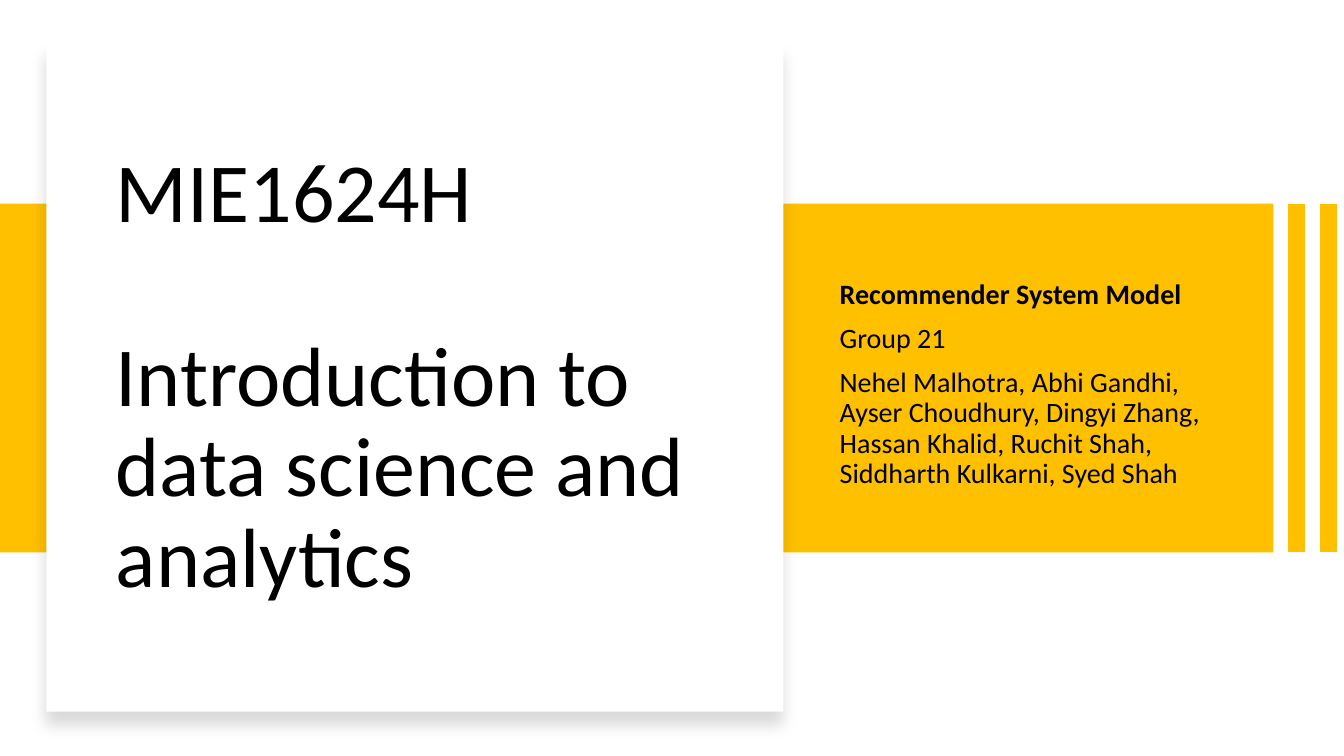
from dataclasses import dataclass

from lxml.etree import SubElement
from pptx import Presentation
from pptx.dml.color import RGBColor
from pptx.enum.shapes import MSO_CONNECTOR, MSO_SHAPE
from pptx.enum.text import MSO_ANCHOR
from pptx.oxml.ns import qn
from pptx.shapes.autoshape import Shape
from pptx.slide import Slide
from pptx.util import Inches, Pt

AMBER = RGBColor(0xFF, 0xC0, 0x00)
WHITE = RGBColor(0xFF, 0xFF, 0xFF)
BLACK = RGBColor(0x00, 0x00, 0x00)
FONT = "Calibri"
BAND_TOP, BAND_HEIGHT = 2.02, 3.46
STRIPE_POSITIONS = (12.86, 13.18)


@dataclass(frozen=True)
class Box:
    left: float
    top: float
    width: float
    height: float

    def lengths(self) -> tuple[Inches, Inches, Inches, Inches]:
        return (Inches(self.left), Inches(self.top),
                Inches(self.width), Inches(self.height))


@dataclass(frozen=True)
class Line:
    text: str
    size: float
    space_before: float = 0
    bold: bool = False


TITLE = (
    Line("MIE1624H", 60),
    Line("Introduction to data science and analytics", 60, space_before=66),
)
SUBTITLE = (
    Line("Recommender System Model", 20, 10, bold=True),
    Line("Group 21", 20, 10),
    Line("Nehel Malhotra, Abhi Gandhi, Ayser Choudhury, Dingyi Zhang, "
         "Hassan Khalid, Ruchit Shah, Siddharth Kulkarni, Syed Shah", 20, 10),
)


def add_panel(slide: Slide, box: Box, color: RGBColor) -> Shape:
    panel = slide.shapes.add_shape(MSO_SHAPE.RECTANGLE, *box.lengths())
    panel.shadow.inherit = False
    panel.fill.solid()
    panel.fill.fore_color.rgb = color
    panel.line.fill.background()
    return panel


def add_soft_shadow(panel: Shape) -> None:
    effects = panel.element.spPr.find(qn("a:effectLst"))
    shadow = SubElement(effects, qn("a:outerShdw"), blurRad=str(Pt(11)),
                        dist=str(Pt(10)), dir="5400000", algn="t",
                        rotWithShape="0")
    color = SubElement(shadow, qn("a:srgbClr"), val=str(BLACK))
    SubElement(color, qn("a:alpha"), val="15000")


def add_stripe(slide: Slide, x: float) -> None:
    stripe = slide.shapes.add_connector(
        MSO_CONNECTOR.STRAIGHT, Inches(x), Inches(BAND_TOP),
        Inches(x), Inches(BAND_TOP + BAND_HEIGHT))
    stripe.line.color.rgb = AMBER
    stripe.line.width = Pt(12)
    SubElement(stripe.element.spPr, qn("a:effectLst"))


def add_text(slide: Slide, box: Box, lines: tuple[Line, ...]) -> None:
    frame = slide.shapes.add_textbox(*box.lengths()).text_frame
    frame.word_wrap = True
    frame.vertical_anchor = MSO_ANCHOR.MIDDLE
    for index, line in enumerate(lines):
        paragraph = frame.add_paragraph() if index else frame.paragraphs[0]
        paragraph.line_spacing = 0.9
        paragraph.space_before = Pt(line.space_before)
        run = paragraph.add_run()
        run.text = line.text
        run.font.name = FONT
        run.font.size = Pt(line.size)
        run.font.bold = line.bold
        run.font.color.rgb = BLACK


def main() -> None:
    deck = Presentation()
    deck.slide_width, deck.slide_height = Inches(13.33), Inches(7.5)
    slide = deck.slides.add_slide(deck.slide_layouts[6])

    add_panel(slide, Box(0, BAND_TOP, 12.63, BAND_HEIGHT), AMBER)
    for x in STRIPE_POSITIONS:
        add_stripe(slide, x)
    title_card = add_panel(slide, Box(0.46, 0.43, 7.31, 6.63), WHITE)
    add_soft_shadow(title_card)
    add_text(slide, Box(1.05, 1.06, 6.12, 5.38), TITLE)
    add_text(slide, Box(8.23, 2.59, 3.96, 2.45), SUBTITLE)

    deck.save("out.pptx")


if __name__ == "__main__":
    main()
